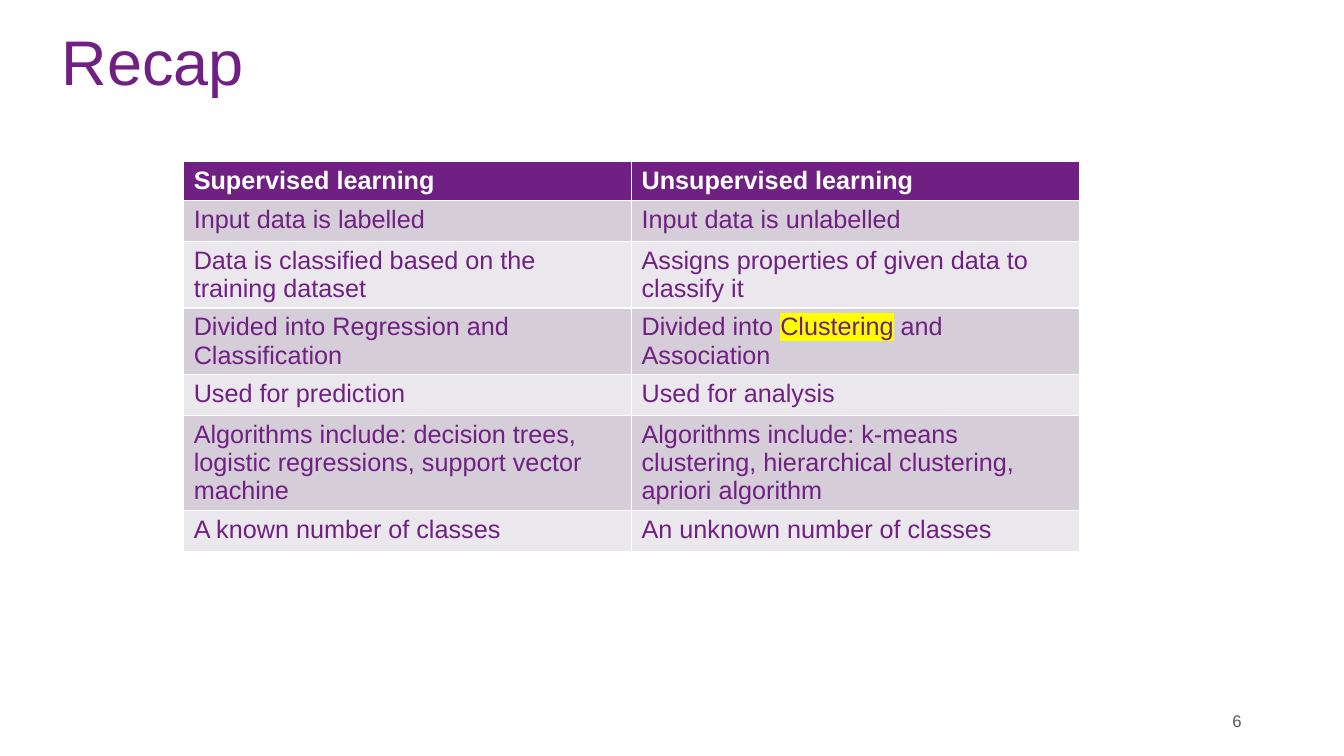
from lxml.etree import SubElement
from pptx import Presentation
from pptx.dml.color import RGBColor
from pptx.enum.text import MSO_ANCHOR, MSO_AUTO_SIZE, PP_ALIGN
from pptx.oxml.ns import qn
from pptx.util import Pt

EMU_PER_PX = 9525
FONT = "Arial"
COLORS = {
    "purple": "702082",
    "white": "FFFFFF",
    "dark band": "D5CDD8",
    "light band": "EBE8ED",
    "highlight": "FFFF00",
    "grey": "575C59",
}
HIGHLIGHTED = "Clustering"
COMPARISON = [
    ("Supervised learning", "Unsupervised learning"),
    ("Input data is labelled", "Input data is unlabelled"),
    ("Data is classified based on the training dataset",
     "Assigns properties of given data to classify it"),
    ("Divided into Regression and Classification",
     ("Divided into ", HIGHLIGHTED, " and Association")),
    ("Used for prediction", "Used for analysis"),
    ("Algorithms include: decision trees, logistic regressions, support vector machine",
     "Algorithms include: k-means clustering, hierarchical clustering, apriori algorithm"),
    ("A known number of classes", "An unknown number of classes"),
]


def px(length):
    return length * EMU_PER_PX


def color(name):
    return RGBColor.from_string(COLORS[name])


def add_run(paragraph, text, size, color_name, bold=False):
    run = paragraph.add_run()
    run.text = text
    run.font.name = FONT
    run.font.size = Pt(size)
    run.font.bold = bold
    run.font.color.rgb = color(color_name)
    return run


def highlight(run):
    properties = run.font._element
    marker = SubElement(properties, qn("a:highlight"))
    SubElement(marker, qn("a:srgbClr"), val=COLORS["highlight"])
    # The schema places the highlight ahead of the typeface
    properties.find(qn("a:latin")).addprevious(marker)


def add_title(slide, text):
    title = slide.shapes.title
    title.left, title.top, title.width, title.height = map(px, (49, 33, 1047, 58))
    frame = title.text_frame
    frame.auto_size = MSO_AUTO_SIZE.NONE
    frame.vertical_anchor = MSO_ANCHOR.MIDDLE
    heading = frame.paragraphs[0]
    heading.alignment = PP_ALIGN.LEFT
    heading.line_spacing = 0.9
    add_run(heading, text, 45, "purple")


def fill_cell(cell, content, row):
    is_header = row == 0
    band = "purple" if is_header else "dark band" if row % 2 else "light band"
    cell.fill.solid()
    cell.fill.fore_color.rgb = color(band)
    parts = (content,) if isinstance(content, str) else content
    for part in parts:
        run = add_run(cell.text_frame.paragraphs[0], part, 18,
                      "white" if is_header else "purple", is_header)
        if part == HIGHLIGHTED:
            highlight(run)


def add_comparison(slide, rows):
    frame = slide.shapes.add_table(len(rows), 2, px(175), px(154), px(853), px(386))
    table = frame.table
    table.horz_banding = False
    for row, contents in enumerate(rows):
        table.rows[row].height = px(39 if row else 37)
        for column, content in enumerate(contents):
            fill_cell(table.cell(row, column), content, row)
    frame.height = px(386)


def add_page_number(slide, number):
    box = slide.shapes.add_textbox(px(904), px(667), px(288), px(38))
    frame = box.text_frame
    frame.word_wrap = True
    frame.vertical_anchor = MSO_ANCHOR.MIDDLE
    frame.paragraphs[0].alignment = PP_ALIGN.RIGHT
    add_run(frame.paragraphs[0], number, 12, "grey")


def main():
    presentation = Presentation()
    presentation.slide_width, presentation.slide_height = px(1280), px(720)
    slide = presentation.slides.add_slide(presentation.slide_layouts[5])

    # Heading
    add_title(slide, "Recap")
    # Supervised against unsupervised learning
    add_comparison(slide, COMPARISON)
    # Footer
    add_page_number(slide, "6")

    presentation.save("out.pptx")


if __name__ == "__main__":
    main()
